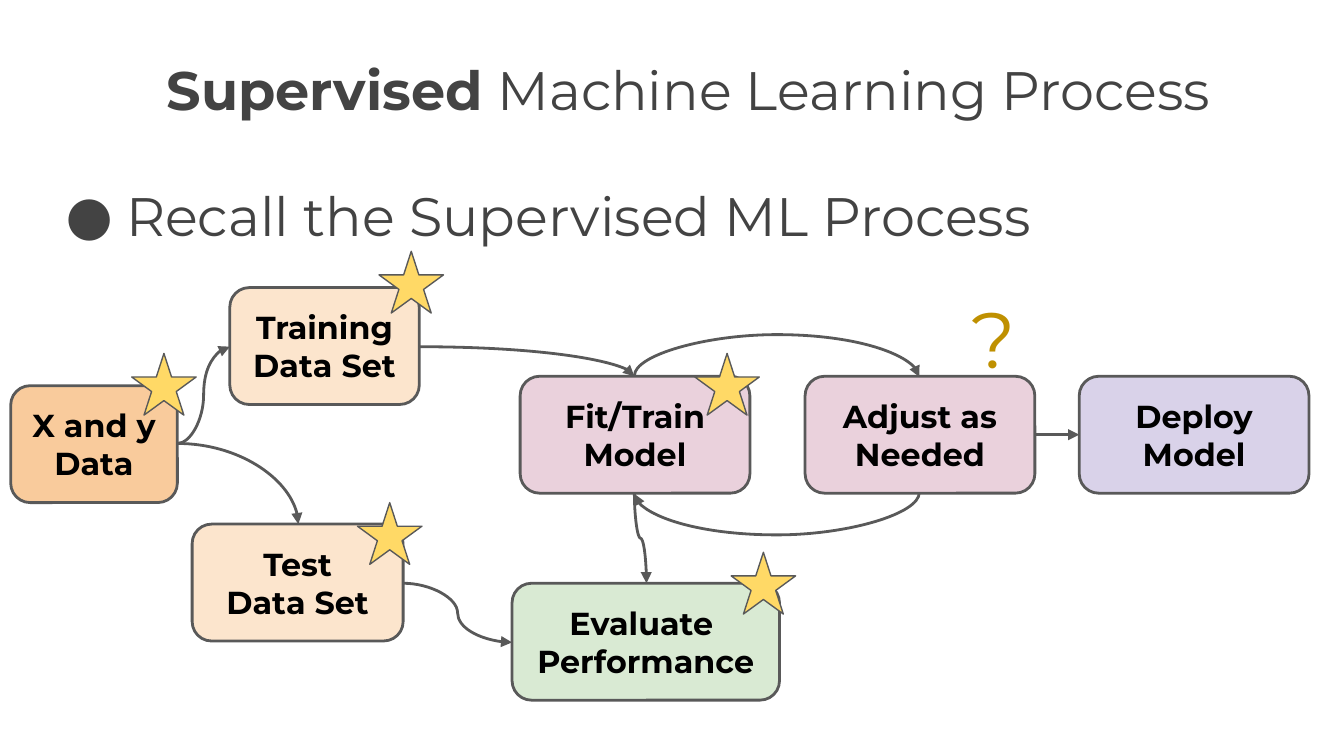
"""Build the supervised machine learning process slide."""
from lxml import etree
from pptx import Presentation
from pptx import util as u
from pptx.dml.color import RGBColor
from pptx.enum import shapes, text
from pptx.oxml.ns import qn

GRAY = RGBColor(0x43, 0x43, 0x43)
EDGE = RGBColor(0x59, 0x59, 0x59)
BLACK = RGBColor(0x00, 0x00, 0x00)
ORANGE = RGBColor(0xF9, 0xCB, 0x9C)
PEACH = RGBColor(0xFC, 0xE5, 0xCD)
PINK = RGBColor(0xEA, 0xD1, 0xDC)
GREEN = RGBColor(0xD9, 0xEA, 0xD3)
LILAC = RGBColor(0xD9, 0xD2, 0xE9)
YELLOW = RGBColor(0xFF, 0xD9, 0x66)
GOLD = RGBColor(0xBF, 0x90, 0x00)


class Deck:
    font = "Montserrat"
    high = 0.87

    def __init__(self, wide):
        self.prs = Presentation()
        self.prs.slide_width = u.Inches(wide)
        self.prs.slide_height = u.Inches(wide * 9 / 16)
        self.slide = self.prs.slides.add_slide(self.prs.slide_layouts[6])

    def run(self, para, words, size, color, bold=False):
        run = para.add_run()
        run.text = words
        run.font.name = self.font
        run.font.size = u.Pt(size)
        run.font.bold = bold
        run.font.color.rgb = color

    def frame(self, shape, anchor):
        frame = shape.text_frame
        frame.word_wrap = True
        frame.vertical_anchor = anchor
        frame.margin_left = frame.margin_right = u.Inches(0.1)
        frame.margin_top = frame.margin_bottom = u.Inches(0.1)
        return frame

    def label(self, place, runs, size, color, bullet=False):
        shape = self.slide.shapes.add_textbox(*map(u.Inches, place))
        para = self.frame(shape, text.MSO_ANCHOR.TOP).paragraphs[0]
        if bullet:
            props = para._p.get_or_add_pPr()
            props.set("marL", str(u.Inches(0.5)))
            props.set("indent", str(u.Inches(-0.45)))
            tint = etree.SubElement(props, qn("a:buClr"))
            etree.SubElement(tint, qn("a:srgbClr")).set("val", str(color))
            etree.SubElement(props, qn("a:buFont")).set("typeface", self.font)
            etree.SubElement(props, qn("a:buChar")).set("char", "●")
        for words, bold in runs:
            self.run(para, words, size, color, bold)

    def solid(self, kind, place, fill, width):
        shape = self.slide.shapes.add_shape(kind, *map(u.Inches, place))
        shape.shadow.inherit = False
        shape.fill.solid()
        shape.fill.fore_color.rgb = fill
        shape.line.color.rgb = EDGE
        shape.line.width = u.Pt(width)
        return shape

    def box(self, left, top, wide, fill, *lines):
        kind = shapes.MSO_SHAPE.ROUNDED_RECTANGLE
        shape = self.solid(kind, (left, top, wide, self.high), fill, 1.5)
        frame = self.frame(shape, text.MSO_ANCHOR.MIDDLE)
        for index, line in enumerate(lines):
            para = frame.add_paragraph() if index else frame.paragraphs[0]
            para.alignment = text.PP_ALIGN.CENTER
            self.run(para, line, 17, BLACK, True)
        return shape

    def star(self, left, top):
        self.solid(shapes.MSO_SHAPE.STAR_5_POINT, (left, top, 0.48, 0.46), YELLOW, 0.75)

    def link(self, kind, start, end):
        line = self.slide.shapes.add_connector(kind, *map(u.Inches, (*start, *end)))
        line.line.color.rgb = EDGE
        line.line.width = u.Pt(1.5)
        props = line._element.spPr
        etree.SubElement(props.find(qn("a:ln")), qn("a:tailEnd")).set("type", "triangle")
        etree.SubElement(props, qn("a:effectLst"))
        return line

    def arrow(self, start, end, first, last):
        line = self.link(shapes.MSO_CONNECTOR.STRAIGHT, start, end)
        line.begin_connect(first, 3)
        line.end_connect(last, 1)

    def curve(self, start, end, corner=False):
        line = self.link(shapes.MSO_CONNECTOR.CURVE, start, end)
        if corner:
            line._element.spPr.find(qn("a:prstGeom")).set("prst", "curvedConnector2")

    def drop(self, start, end, bulge=None):
        """Draw a curve that leaves and arrives vertically."""
        (x1, y1), (x2, y2) = start, end
        wide, tall = max(y2 - y1, 0.01), abs(x2 - x1)
        left, top = (x1 + x2 - wide) / 2, (y1 + y2 - tall) / 2
        right, low = left + wide, top + tall
        east = x2 > x1
        ends = ((right, top), (left, low)) if east else ((left, top), (right, low))
        line = self.link(shapes.MSO_CONNECTOR.CURVE, *ends)
        props = line._element.spPr
        props.find(qn("a:xfrm")).set("rot", str((270 if east else 90) * 60000))
        if bulge:
            guide = etree.SubElement(props.find(qn("a:prstGeom")).find(qn("a:avLst")), qn("a:gd"))
            guide.set("name", "adj1")
            guide.set("fmla", f"val {round(bulge / wide * 100000)}")


def main():
    deck = Deck(10)
    title = [("Supervised", True), (" Machine Learning Process", False)]
    deck.label((1.14, 0.32, 8.52, 0.63), title, 29, GRAY)
    deck.label((0.34, 1.26, 9.66, 3.74), [("Recall the Supervised ML Process", False)], 29, GRAY, True)

    deck.box(0.08, 2.87, 1.24, ORANGE, "X and y", "Data")
    deck.box(1.71, 2.14, 1.41, PEACH, "Training Data Set")
    deck.box(1.43, 3.9, 1.57, PEACH, "Test", "Data Set")
    deck.box(3.87, 2.8, 1.71, PINK, "Fit/Train", "Model")
    adjust = deck.box(5.99, 2.8, 1.71, PINK, "Adjust as Needed")
    deck.box(3.81, 4.34, 1.99, GREEN, "Evaluate ", "Performance")
    deploy = deck.box(8.03, 2.8, 1.71, LILAC, "Deploy", "Model")

    deck.curve((1.32, 3.3), (2.22, 3.9), corner=True)
    deck.curve((1.32, 3.3), (1.71, 2.58))
    deck.curve((3.12, 2.58), (4.72, 2.8), corner=True)
    deck.curve((3, 4.34), (3.81, 4.78))
    deck.drop((4.72, 3.67), (4.81, 4.34))
    deck.drop((4.72, 2.8), (6.84, 2.8), -0.31)
    deck.drop((6.84, 3.67), (4.72, 3.67), 0.32)
    deck.arrow((7.7, 3.24), (8.03, 3.24), adjust, deploy)

    for spot in ((0.98, 2.63), (2.82, 1.87), (2.66, 3.74), (5.17, 2.63), (5.44, 4.11)):
        deck.star(*spot)
    deck.label((7.13, 2.06, 0.62, 0.81), [("?", False)], 42, GOLD)
    deck.prs.save("out.pptx")


if __name__ == "__main__":
    main()
